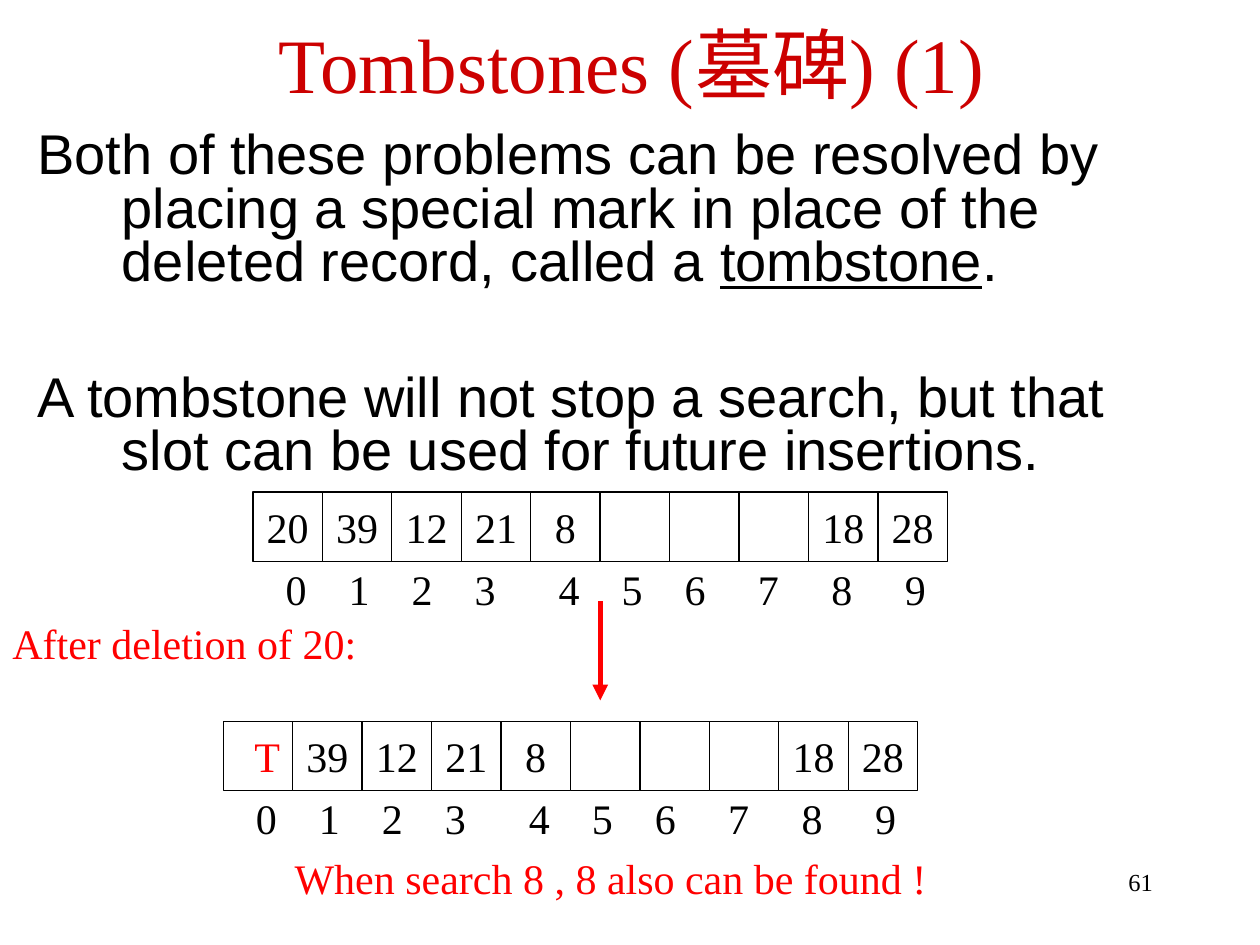
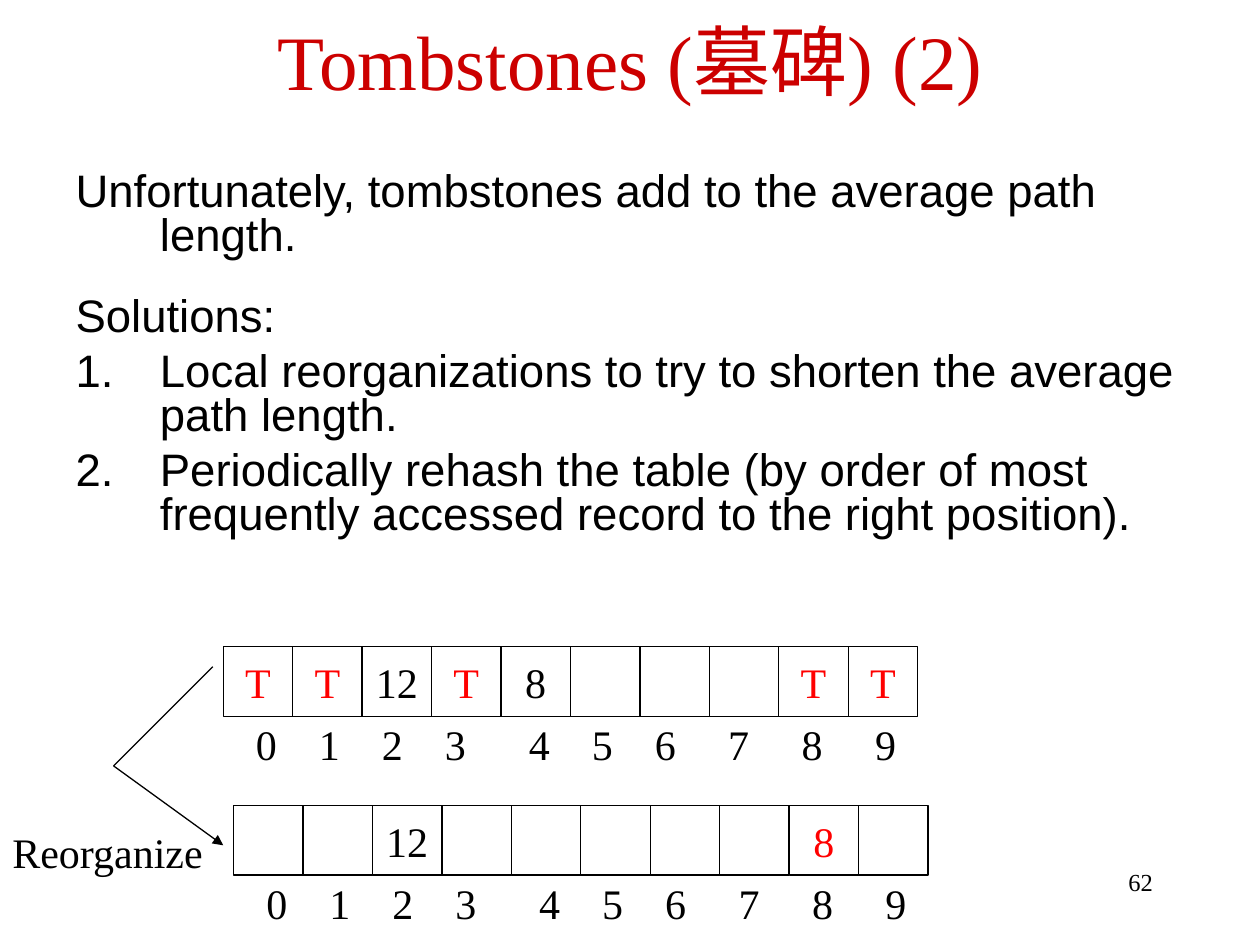
from itertools import accumulate

from lxml.etree import SubElement
from pptx import Presentation
from pptx.dml.color import RGBColor
from pptx.enum.shapes import MSO_CONNECTOR as CONNECTOR, MSO_SHAPE as SHAPE
from pptx.enum.text import MSO_ANCHOR as ANCHOR, MSO_AUTO_SIZE as AUTO_SIZE, PP_ALIGN as ALIGN
from pptx.oxml.ns import qn
from pptx.util import Cm, Pt

BLACK = RGBColor(0x00, 0x00, 0x00)
WHITE = RGBColor(0xFF, 0xFF, 0xFF)
RED = RGBColor(0xFF, 0x00, 0x00)
TITLE_RED = RGBColor(0xCC, 0x00, 0x00)
SERIF, SANS = "Times New Roman", "Arial"

CELL = 1.4
INDEX_GAPS = (1.27, 1.27, 1.27, 1.69, 1.27, 1.27, 1.48, 1.48, 1.48)


def set_font(paragraph, size, color=BLACK, name=SERIF):
    """Format every run of a paragraph."""
    for run in paragraph.runs:
        run.font.size, run.font.name = Pt(size), name
        run.font.color.rgb = color


def place(shape, left, top, width, height):
    """Move and size a shape, in centimetres."""
    shape.left, shape.top = Cm(left), Cm(top)
    shape.width, shape.height = Cm(width), Cm(height)


def add_label(shapes, text, box, color=BLACK, size=24, align=ALIGN.LEFT):
    """Add a one-line text box and return its paragraph."""
    frame = shapes.add_textbox(*map(Cm, box)).text_frame
    frame.word_wrap = True
    frame.text = text
    paragraph = frame.paragraphs[0]
    paragraph.alignment = align
    set_font(paragraph, size, color)
    return paragraph


def add_cell(shapes, value, left, top, color):
    """Add one slot of a hash table."""
    cell = shapes.add_shape(SHAPE.RECTANGLE, Cm(left), Cm(top), Cm(CELL), Cm(CELL))
    cell.shadow.inherit = False
    cell.fill.solid()
    cell.fill.fore_color.rgb = WHITE
    cell.line.color.rgb = BLACK
    cell.line.width = Pt(0.75)
    if value:
        frame = cell.text_frame
        frame.word_wrap = False
        frame.vertical_anchor = ANCHOR.MIDDLE
        frame.text = value
        frame.paragraphs[0].alignment = ALIGN.CENTER
        set_font(frame.paragraphs[0], 24, color)


def add_hash_table(slide, values, left, top, marked=""):
    """Add a grouped row of slots with their indices, marked values in red."""
    shapes = slide.shapes.add_group_shape().shapes
    for index, value in enumerate(values):
        color = RED if value == marked else BLACK
        add_cell(shapes, value, left + index * CELL, top, color)
    indices = "\t".join(str(index) for index in range(len(values)))
    paragraph = add_label(shapes, indices, (left + 0.41, top + 1.32, 14.48, 1.27))
    tabs = SubElement(paragraph._p.get_or_add_pPr(), qn("a:tabLst"))
    for position in accumulate(INDEX_GAPS):
        SubElement(tabs, qn("a:tab"), pos=str(Cm(position)), algn="l")


def add_line(slide, start, end, color=BLACK, width=0.75, arrow=False):
    """Add a straight line, with an arrowhead at its end if wanted."""
    line = slide.shapes.add_connector(CONNECTOR.STRAIGHT, *map(Cm, start + end))
    line.line.color.rgb = color
    line.line.width = Pt(width)
    if arrow:
        SubElement(line.line._get_or_add_ln(), qn("a:tailEnd"), type="triangle")
    SubElement(line._element.spPr, qn("a:effectLst"))


def fill_body(body, box, size, paragraphs):
    """Fill the body with (space before, numbered, runs) paragraphs."""
    place(body, *box)
    frame = body.text_frame
    frame.auto_size = AUTO_SIZE.NONE
    frame.vertical_anchor = ANCHOR.TOP
    for number, (space, numbered, runs) in enumerate(paragraphs):
        paragraph = frame.add_paragraph() if number else frame.paragraphs[0]
        paragraph.line_spacing = 0.8
        paragraph.space_before = Pt(space)
        properties = paragraph._p.get_or_add_pPr()
        properties.set("marL", str(Cm(1.7)))
        properties.set("indent", str(Cm(-1.7)))
        if numbered:
            SubElement(properties, qn("a:buFont"), typeface="+mj-lt")
            SubElement(properties, qn("a:buAutoNum"), type="arabicPeriod")
        else:
            SubElement(properties, qn("a:buNone"))
        for text, underline in runs:
            run = paragraph.add_run()
            run.text = text
            run.font.underline = underline
        set_font(paragraph, size, name=SANS)


def add_slide(presentation, title, title_box, number):
    """Add a slide with its title and page number."""
    slide = presentation.slides.add_slide(presentation.slide_layouts[1])
    place(slide.shapes.title, *title_box)
    frame = slide.shapes.title.text_frame
    frame.auto_size = AUTO_SIZE.NONE
    frame.vertical_anchor = ANCHOR.MIDDLE
    frame.text = title
    frame.paragraphs[0].alignment = ALIGN.CENTER
    set_font(frame.paragraphs[0], 44, TITLE_RED)
    add_label(slide.shapes, number, (18.21, 17.35, 5.28, 1.27), size=14, align=ALIGN.RIGHT)
    return slide


def build_deletion_slide(presentation):
    """Show how a tombstone replaces a deleted record."""
    slide = add_slide(presentation, "Tombstones (墓碑) (1)", (1.3, 0, 22.86, 2.54), "61")
    fill_body(slide.placeholders[1], (0.5, 2.52, 22.86, 12.7), 32, [
        (0, False, [
            ("Both of these problems can be resolved by placing a special mark "
             "in place of the deleted record, called a ", False),
            ("tombstone", True),
            (".", False),
        ]),
        (46.6, False, [
            ("A tombstone will not stop a search, but that slot can be used "
             "for future insertions.", False),
        ]),
    ])
    kept = ["39", "12", "21", "8", "", "", "", "18", "28"]
    add_hash_table(slide, ["20"] + kept, 5.1, 9.92)
    add_hash_table(slide, [""] + kept, 4.5, 14.54)
    add_label(slide.shapes, "T", (4.88, 14.6, 1.02, 1.27), RED)
    add_label(slide.shapes, "After deletion of 20:", (0, 12.32, 7.6, 1.27), RED)
    add_label(slide.shapes, "When search 8 , 8 also can be found !",
              (5.69, 17.07, 13.5, 1.27), RED)
    add_line(slide, (12.1, 12.12), (12.1, 14.12), RED, 3, arrow=True)


def build_solutions_slide(presentation):
    """Show how reorganizing removes the tombstones."""
    slide = add_slide(presentation, "Tombstones (墓碑) (2)", (1.27, -0.07, 22.86, 2.54), "62")
    fill_body(slide.placeholders[1], (1.27, 3.35, 22.86, 12.7), 26, [
        (space, numbered, [(text, False)]) for space, numbered, text in (
            (0, False, "Unfortunately, tombstones add to the average path length."),
            (21.7, False, "Solutions:"),
            (6.5, True, "Local reorganizations to try to shorten the average path length."),
            (6.5, True, "Periodically rehash the table (by order of most frequently "
                        "accessed record to the right position)."),
        )
    ])
    add_hash_table(slide, ["T", "T", "12", "T", "8", "", "", "", "T", "T"], 4.5, 13.04, "T")
    add_hash_table(slide, ["", "", "12", "", "", "", "", "", "8", ""], 4.71, 16.24, "8")
    bend = (2.29, 15.44)
    add_line(slide, (4.29, 13.44), bend)
    add_line(slide, bend, (4.5, 17.04), arrow=True)
    add_label(slide.shapes, "Reorganize", (0, 16.54, 4.5, 1.27))


def main():
    """Build and save the presentation."""
    presentation = Presentation()
    presentation.slide_width, presentation.slide_height = Cm(25.4), Cm(19.05)
    build_deletion_slide(presentation)
    build_solutions_slide(presentation)
    presentation.save("out.pptx")


if __name__ == "__main__":
    main()
